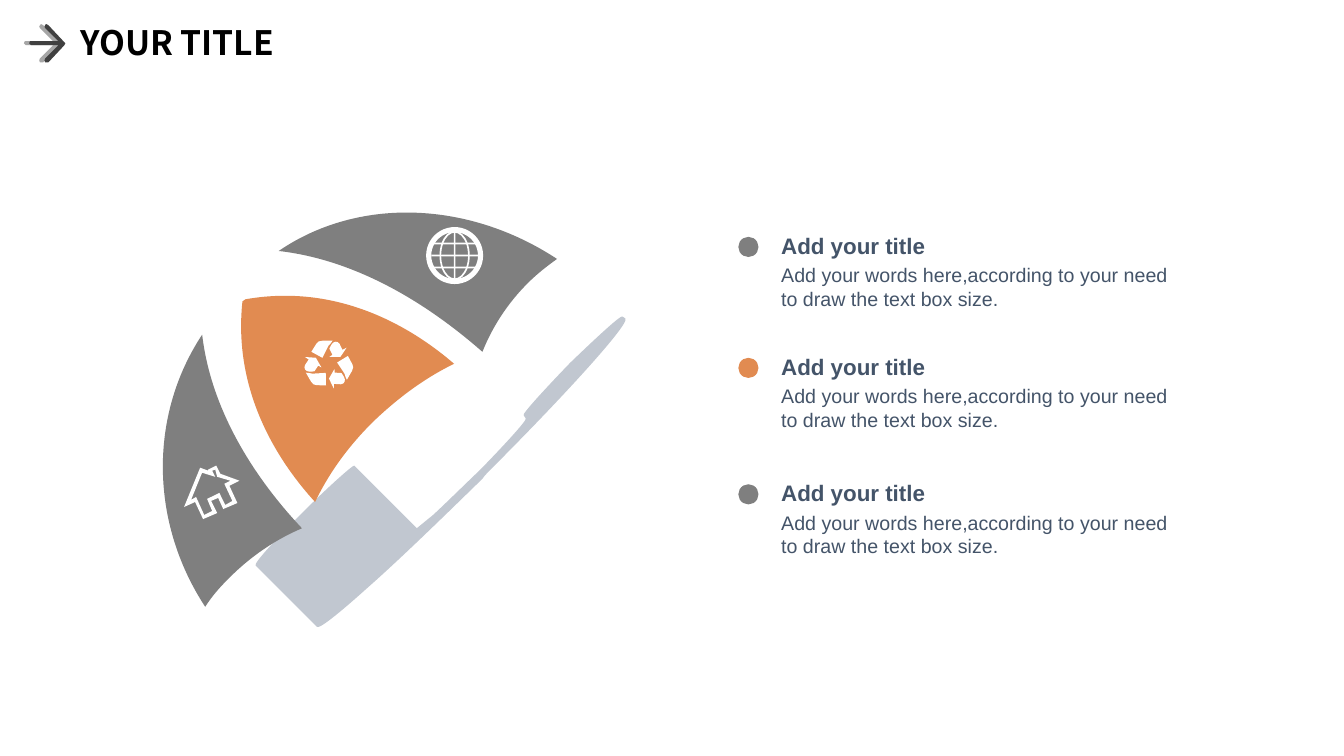
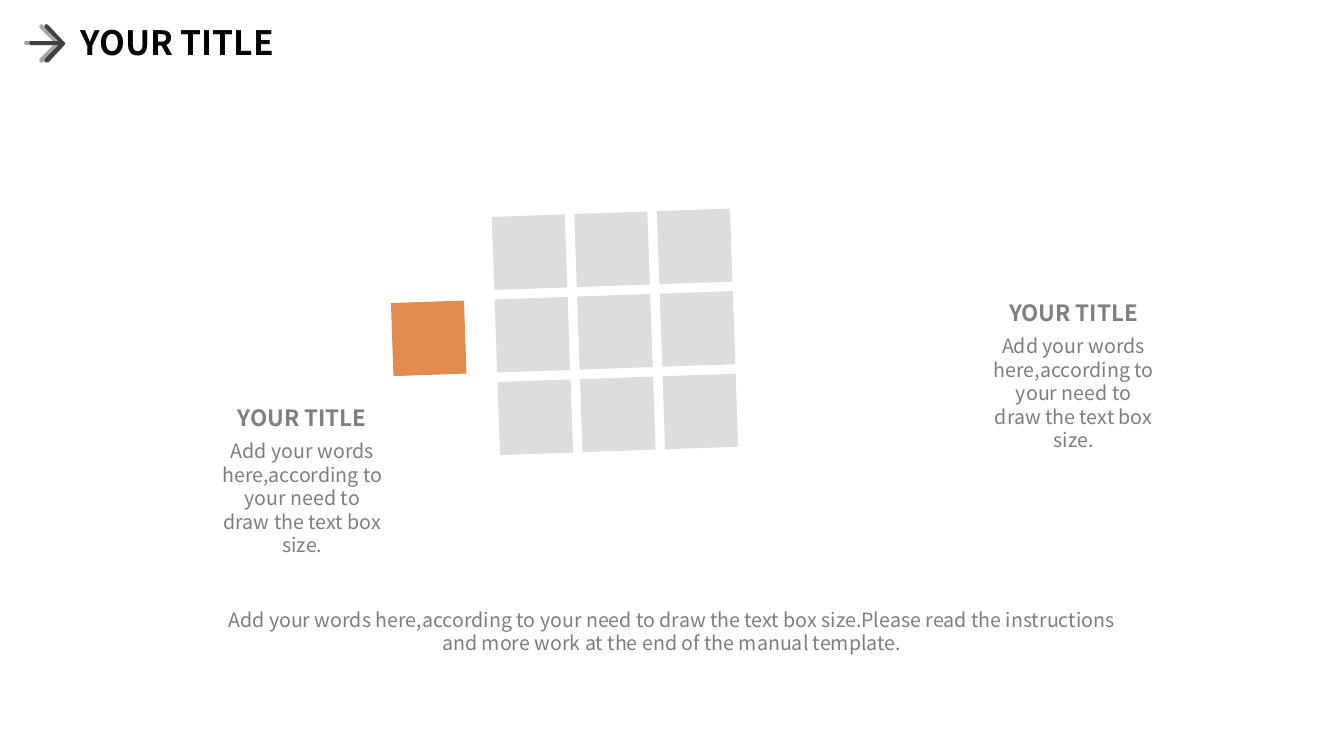
from math import cos, radians, sin

from lxml.etree import SubElement
from pptx import Presentation
from pptx.dml.color import RGBColor
from pptx.enum.shapes import MSO_SHAPE
from pptx.enum.text import PP_ALIGN
from pptx.oxml.ns import qn
from pptx.util import Pt

SANS, CJK = "Arial", "Noto Sans CJK SC"
BLACK, WHITE = "000000", "FFFFFF"
ORANGE, GRAY, PALE_GRAY = "E18B51", "7F7F7F", "DDDDDD"
SLATE, STEEL, CAPTION_GRAY = "445469", "C1C7D0", "7E7E7D"
ARROW_GRAYS = ("A6A6A6", "404040")
LINE_HEIGHT = 1.2
CURVE_STEPS = 20
TAGS = {"M": "a:moveTo", "L": "a:lnTo", "C": "a:cubicBezTo"}

HEADING = "YOUR TITLE"
ITEM_TITLE = "Add your title"
FILLER = "Add your words here,according to your need to draw the text box size."
CLOSING = FILLER + "Please read the instructions and more work at the end of the manual template."

# Outlines in points: M moves, L draws lines, C draws cubic curves, Z closes.
ARROW = """M 12.2 0 C 13 0 13 0 13.7 0.7 L 25.2 13 C 25.9 13 25.9 13 25.9 13.7
    C 25.9 14.4 25.9 14.4 25.2 15.1 L 13.7 27.4 C 13 27.4 12.2 27.4 11.5 27.4
    C 10.8 26.6 10.8 25.2 11.5 24.5 L 20.9 15.1 1.4 15.1 C 1.4 15.1 0.7 15.1 0.7 14.4
    L 0 13.7 0.7 12.2 C 0.7 12.2 1.4 12.2 1.4 12.2 L 20.9 12.2 11.5 2.9
    C 10.8 2.2 10.8 1.4 11.5 0.7 C 11.5 0 12.2 0 12.2 0 Z"""
HANDLE = """M 236.9 198 C 206.6 227.5 177.1 256.3 154.1 276.5
    C 132.5 295.9 120.2 305.3 118.8 303.8 L 74.9 259.9
    C 73.4 258.5 88.6 241.9 108 222.5 C 128.2 202.3 144.7 187.9 145.4 188.6
    L 190.1 233.3 C 190.1 233.3 194.4 229.7 201.6 223.9
    C 210.2 216 222.5 203.8 235.4 191.5 C 254.9 171.4 269.3 155.5 267.8 154.8
    L 266.4 152.6 C 265 151.9 280.1 135.4 299.5 115.2
    C 319.7 95.8 336.2 80.6 337 82.1 L 339.1 83.5
    C 342 87.1 299.5 134.6 241.9 192.2 C 240.5 193.7 238.3 195.8 236.9 198 Z"""
LEFT_BLADE = """M 36.7 95 C -1.4 152.6 -0.7 229 38.9 289.4
    C 43.9 281.5 49.7 275 56.2 268.6 C 71.3 253.4 89.3 241.2 108 233.3
    C 82.1 205.9 43.9 156.2 36.7 95 Z"""
MIDDLE_BLADE = """M 67.7 69.8 C 67 70.6 66.2 70.6 65.5 71.3
    C 58.3 138.2 93.6 188.6 117.4 214.6 C 127.4 193.7 141.1 175 158.4 157.7
    C 176.4 140.4 195.8 126 216.7 115.9 C 190.1 92.9 136.8 57.6 67.7 69.8 Z"""
TOP_BLADE = """M 91.4 35.3 C 154.8 42.5 207.4 81.4 236.9 107.3
    C 244.1 89.3 254.9 72.7 269.3 58.3 C 275.8 51.8 283 46.1 290.2 41
    C 226.8 -0.7 148.3 -3.6 91.4 35.3 Z"""
HOUSE = """M 47.5 222.5 L 37.4 226.8 31.7 214.6 23.8 218.2 35.3 190.1 41 192.2
    41 191.5 46.8 188.6 49.7 194.4 63.4 199.4 56.2 203 61.9 215.3 51.8 219.6
    48.2 211.7 43.2 213.8 Z
    M 38.2 223.9 L 43.9 221 40.3 212.4 49 208.1 53.3 216.7 58.3 213.8 52.6 201.6
    56.9 199.4 47.5 196.6 46.1 191.5 43.9 192.2 46.1 196.6 36.7 193.7 28.8 213.1
    32.4 211 Z"""
RECYCLE_ARM = (
    """M 10.1 -10.4 L 7.9 -14.8 C 7.2 -16.2 5.8 -16.2 5 -16.2
    C 2.9 -16.2 1.4 -12.6 1.4 -12.6 L 0.7 -11.2 2.9 -6.8 0.7 -5.4 8.6 -5.4
    13 -11.9 Z""",
    """M 0 -13.3 C 0.7 -14 2.2 -15.5 2.9 -16.9 L -4.3 -16.9
    C -6.5 -16.9 -7.9 -16.2 -8.6 -14.8 L -12.2 -9 -4.3 -4.7 Z""",
)


def color(value):
    return RGBColor.from_string(value)


def paint(shape, fill):
    shape.shadow.inherit = False
    shape.fill.solid()
    shape.fill.fore_color.rgb = color(fill)
    shape.line.fill.background()
    return shape


def add_preset(shapes, kind, left, top, width, height, fill):
    return paint(shapes.add_shape(kind, Pt(left), Pt(top), Pt(width), Pt(height)), fill)


def turn(point, angle):
    x, y = point
    turn_cos, turn_sin = cos(radians(angle)), sin(radians(angle))
    return x * turn_cos - y * turn_sin, x * turn_sin + y * turn_cos


def read_outline(outline, angle):
    """Yield each command of an outline with its points turned by angle."""
    command, numbers = "", []
    for token in outline.split():
        if token == "Z":
            yield token, []
        elif token in TAGS:
            command = token
        else:
            numbers.append(float(token))
            if len(numbers) == (6 if command == "C" else 2):
                yield command, [turn(pair, angle) for pair in zip(numbers[::2], numbers[1::2])]
                numbers = []


def sample(segments):
    """List points on the drawn line, which give its true extent."""
    points = []
    for command, ends in segments:
        if command != "C":
            points.extend(ends)
            continue
        corners = [points[-1], *ends]
        for step in range(1, CURVE_STEPS + 1):
            t = step / CURVE_STEPS
            weights = ((1 - t) ** 3, 3 * t * (1 - t) ** 2, 3 * t * t * (1 - t), t ** 3)
            points.append(tuple(sum(weight * value for weight, value in zip(weights, axis))
                                for axis in zip(*corners)))
    return points


def add_outline(shapes, outline, left, top, fill, angle=0, tilt=0):
    """Draw an outline turned by angle; tilt is the rotation kept on its frame."""
    segments = list(read_outline(outline, angle - tilt))
    columns, rows = zip(*sample(segments))
    x, y = min(columns), min(rows)
    width, height = max(columns) - x, max(rows) - y
    center_x, center_y = turn((x + width / 2, y + height / 2), tilt)
    frame_left, frame_top = left + center_x - width / 2, top + center_y - height / 2

    builder = shapes.build_freeform(Pt(frame_left), Pt(frame_top))
    builder.add_line_segments([(Pt(frame_left + width), Pt(frame_top + height))])
    shape = paint(builder.convert_to_shape(), fill)
    shape.rotation = tilt

    # Replace the straight stand-in with true curves inside the same frame.
    path = next(shape.element.iter(qn("a:path")))
    for child in list(path):
        path.remove(child)
    for command, ends in segments:
        if command == "Z":
            SubElement(path, qn("a:close"))
            continue
        segment = SubElement(path, qn(TAGS[command]))
        for end_x, end_y in ends:
            SubElement(segment, qn("a:pt"), x=str(Pt(end_x - x)), y=str(Pt(end_y - y)))


def add_text(page, box, text, size, ink, font=CJK, bold=False, align=PP_ALIGN.LEFT, inset=True):
    frame = page.shapes.add_textbox(*map(Pt, box)).text_frame
    frame.word_wrap = True
    if not inset:
        frame.margin_left = frame.margin_right = frame.margin_top = frame.margin_bottom = 0
    para = frame.paragraphs[0]
    para.text = text
    para.alignment = align
    para.line_spacing = Pt(size * LINE_HEIGHT)
    para.font.name = font
    para.font.size = Pt(size)
    para.font.bold = bold
    para.font.color.rgb = color(ink)


def add_header(page, left, top):
    add_text(page, (left + 33.3, top - 4.8, 216, 36), HEADING, 24, BLACK, bold=True)
    for index, fill in enumerate(ARROW_GRAYS):
        add_outline(page.shapes, ARROW, left + 3.7 * index, top, fill)


def add_recycle_icon(page, center_x, center_y):
    group = page.shapes.add_group_shape()
    for angle in (0, 240, 120):
        for piece in RECYCLE_ARM:
            add_outline(group.shapes, piece, center_x, center_y, WHITE, angle)


def add_globe_icon(page, left, top, size):
    stroke = 1.2
    middle = size / 2
    shapes = page.shapes.add_group_shape().shapes
    rim = add_preset(shapes, MSO_SHAPE.DONUT, left, top, size, size, WHITE)
    rim.adjustments[0] = 0.09
    meridian = add_preset(shapes, MSO_SHAPE.OVAL,
                          left + middle - 10.2, top + 3.4, 20.4, size - 6.8, WHITE)
    meridian.fill.background()
    meridian.line.color.rgb = color(WHITE)
    meridian.line.width = Pt(stroke)
    add_preset(shapes, MSO_SHAPE.RECTANGLE,
               left + middle - stroke / 2, top + 3.4, stroke, size - 6.8, WHITE)
    for offset in (-8.6, 0, 8.6):
        add_preset(shapes, MSO_SHAPE.RECTANGLE,
                   left + 3.8, top + middle + offset - stroke / 2, size - 7.6, stroke, WHITE)


def add_fan(page, left, top):
    for outline, fill, tilt in ((HANDLE, STEEL, 315), (LEFT_BLADE, GRAY, 315),
                                (MIDDLE_BLADE, ORANGE, 315), (TOP_BLADE, GRAY, 315),
                                (HOUSE, WHITE, 335.1)):
        add_outline(page.shapes, outline, left, top, fill, tilt=tilt)
    add_recycle_icon(page, left + 126.9, top + 116.3)
    add_globe_icon(page, left + 196.7, top + 18.2, 40.7)


def add_list_item(page, left, top, dot_fill):
    add_preset(page.shapes, MSO_SHAPE.OVAL, left, top + 3.6, 14.4, 14.4, dot_fill)
    add_text(page, (left + 30.6, top, 109, 19.4), ITEM_TITLE, 16, SLATE, SANS, True, inset=False)
    add_text(page, (left + 30.6, top + 22.3, 290, 34), FILLER, 14, SLATE, SANS, inset=False)


def add_tiles(page, left, top):
    """A tilted three by three grid with one tile set apart on its left."""
    tile, pitch, grid_left = 52.2, 59, left + 74.1
    group = page.shapes.add_group_shape()
    add_preset(group.shapes, MSO_SHAPE.RECTANGLE, left, top + pitch, tile, tile, ORANGE)
    for row in range(3):
        for column in range(3):
            add_preset(group.shapes, MSO_SHAPE.RECTANGLE, grid_left + column * pitch,
                       top + row * pitch, tile, tile, PALE_GRAY)
    group.rotation = 358


def add_caption(page, left, top):
    add_text(page, (left + 5.8, top + 25, 129, 92), FILLER, 14, CAPTION_GRAY,
             align=PP_ALIGN.CENTER)
    add_text(page, (left, top, 140.4, 26.6), HEADING, 16, GRAY, bold=True, align=PP_ALIGN.CENTER)


def build_fan_slide(page):
    add_header(page, 17.1, 17.2)
    add_fan(page, 107.7, 144)
    for top, fill in ((165.6, GRAY), (252, ORANGE), (342.3, GRAY)):
        add_list_item(page, 527.4, top, fill)


def build_tiles_slide(page):
    add_header(page, 17.1, 17.2)
    add_tiles(page, 280.1, 153.2)
    for left, top in ((145.7, 285.1), (696.6, 210.2)):
        add_caption(page, left, top)
    add_text(page, (155.3, 430.6, 649.4, 41), CLOSING, 14, CAPTION_GRAY, align=PP_ALIGN.CENTER)


def main():
    deck = Presentation()
    deck.slide_width, deck.slide_height = Pt(960), Pt(540)
    blank = deck.slide_layouts[6]
    for build in (build_fan_slide, build_tiles_slide):
        build(deck.slides.add_slide(blank))
    deck.save("out.pptx")


if __name__ == "__main__":
    main()
